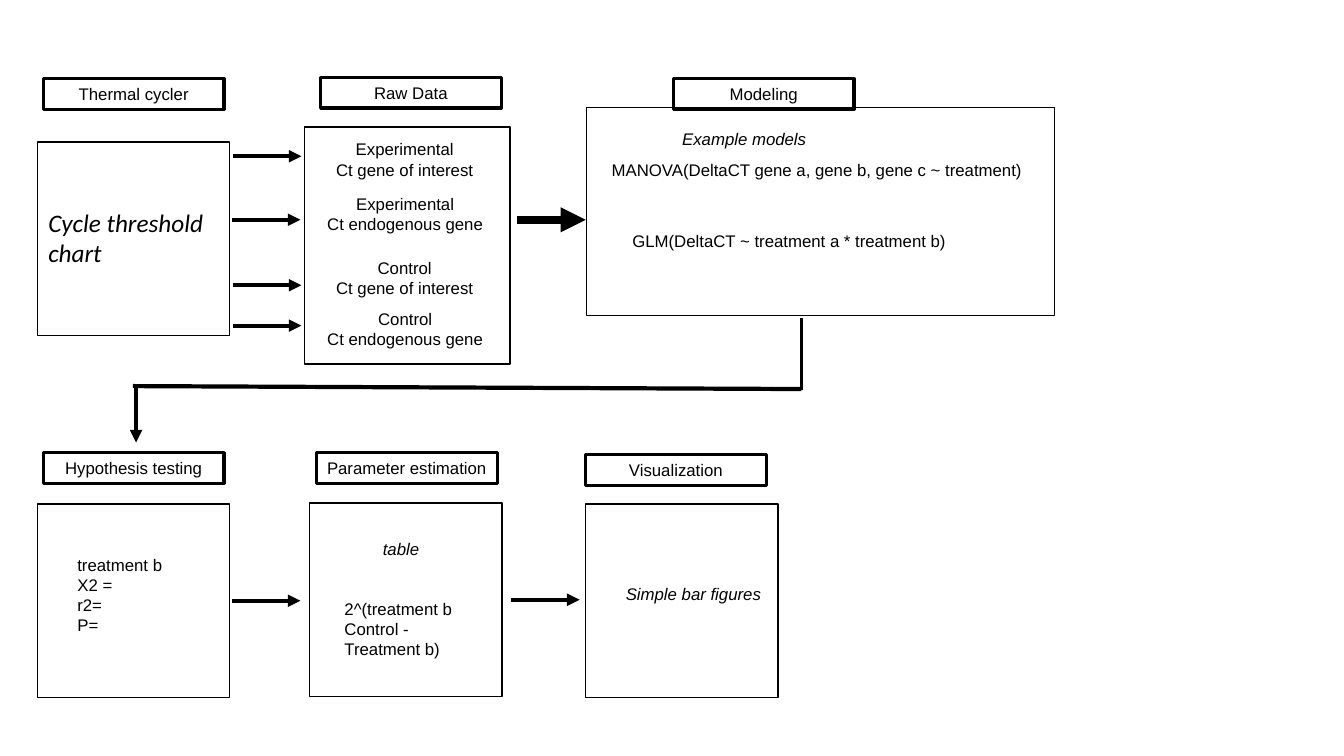
import pptx
import pptx.util
import pptx.dml.color
import pptx.enum.shapes
import pptx.enum.text
import pptx.oxml.ns
import lxml.etree

Pt = pptx.util.Pt
ALIGN = pptx.enum.text.PP_ALIGN
INK = "000000"

heads = [
    ("Thermal cycler", 31, 56.2),
    ("Raw Data", 229, 55.4),
    ("Modeling", 481, 56.2),
    ("Hypothesis testing", 31, 323.3),
    ("Parameter estimation", 226.1, 323.3),
    ("Visualization", 418.3, 324.7),
]
HEAD = (129, 21.8)

SIDE = (137.5, 138.2)
boxes = [
    (26.6, 101.5, *SIDE),
    (217.4, 90.7, 146.9, 169.2),
    (419, 77, 334.1, 148.3),
    (26.6, 360, *SIDE),
    (221, 359.3, *SIDE),
    (418.3, 360, *SIDE),
]

samples = [
    (["Experimental", "Ct gene of interest"], 232.6, 95.8, 113),
    (["Experimental", "Ct endogenous gene"], 226.1, 134.6, 126.7),
    (["Control", "Ct gene of interest"], 232.6, 180.7, 113),
    (["Control", "Ct endogenous gene"], 226.1, 216.7, 126.7),
]
models = [
    (["MANOVA(DeltaCT gene a, gene b, gene c ~ treatment)"], 428.4, 110.2, 310.3),
    (["GLM(DeltaCT ~ treatment a * treatment b)"], 443.5, 161.3, 240.5),
]
stats = [
    (["treatment b", "X2 =", "r2=", "P="], 48.2, 392.4, 75.9),
    (["2^(treatment b", "Control -", "Treatment b)"], 239, 424.1, 92.4),
]
hints = [
    (["Example models"], 480.2, 88.6, 103.7),
    (["table"], 266.4, 381.6, 40.3),
    (["Simple bar figures"], 439.9, 413.3, 111.6),
]
chart = (["Cycle threshold", "chart"], 27.4, 144.7, 128.4)

STEP = 49
flows = [
    (166.3, 111.6, 3), (165.6, 157, 3), (166.3, 203.8, 3), (166.3, 232.6, 3),
    (369.4, 157, 6), (165.6, 429.1, 3), (365, 428.4, 3),
]

deck = pptx.Presentation()
deck.slide_width, deck.slide_height = Pt(960), Pt(540)
slide = deck.slides.add_slide(deck.slide_layouts[6])


def tint(code):
    return pptx.dml.color.RGBColor.from_string(code)


def write(frame, lines, size=12, font="Arial", slant=False, align=ALIGN.LEFT):
    frame.text = "\n".join(lines)
    for para in frame.paragraphs:
        para.alignment = align
        para.font.size = Pt(size)
        para.font.name = font
        para.font.italic = slant
        para.font.color.rgb = tint(INK)


def frame_box(left, top, width, height, weight):
    box = slide.shapes.add_shape(
        pptx.enum.shapes.MSO_SHAPE.RECTANGLE, Pt(left), Pt(top), Pt(width), Pt(height))
    box.shadow.inherit = False
    box.fill.background()
    box.line.color.rgb = tint(INK)
    box.line.width = Pt(weight)
    return box


def label(lines, left, top, width, size=12, **style):
    high = 7.2 + len(lines) * size * 1.2
    note = slide.shapes.add_textbox(Pt(left), Pt(top), Pt(width), Pt(high))
    note.text_frame.word_wrap = False
    write(note.text_frame, lines, size, **style)


def link(start, end, weight=3, arrow=True):
    line = slide.shapes.add_connector(
        pptx.enum.shapes.MSO_CONNECTOR.STRAIGHT, *map(Pt, start + end))
    line.line.color.rgb = tint(INK)
    line.line.width = Pt(weight)
    name = pptx.oxml.ns.qn
    props = line._element.spPr
    lxml.etree.SubElement(props, name("a:effectLst"))
    if arrow:
        lxml.etree.SubElement(props.find(name("a:ln")), name("a:tailEnd"), type="triangle")


for spot in boxes:
    frame_box(*spot, 1)

for name, left, top in heads:
    box = frame_box(left, top, *HEAD, 2.25)
    write(box.text_frame, [name], align=ALIGN.CENTER)

for left, top, weight in flows:
    link((left, top), (left + STEP, top), weight)
link((572.4, 278.6), (572.4, 226.8), 2.25, False)
link((572.4, 277.9), (95, 275.8), 3, False)
link((97.2, 275.8), (97.2, 316.1))

for item in samples + models:
    label(*item, align=ALIGN.CENTER)
for item in stats:
    label(*item)
for item in hints:
    label(*item, slant=True)
label(*chart, size=18, font="Calibri", slant=True)

deck.save("out.pptx")
